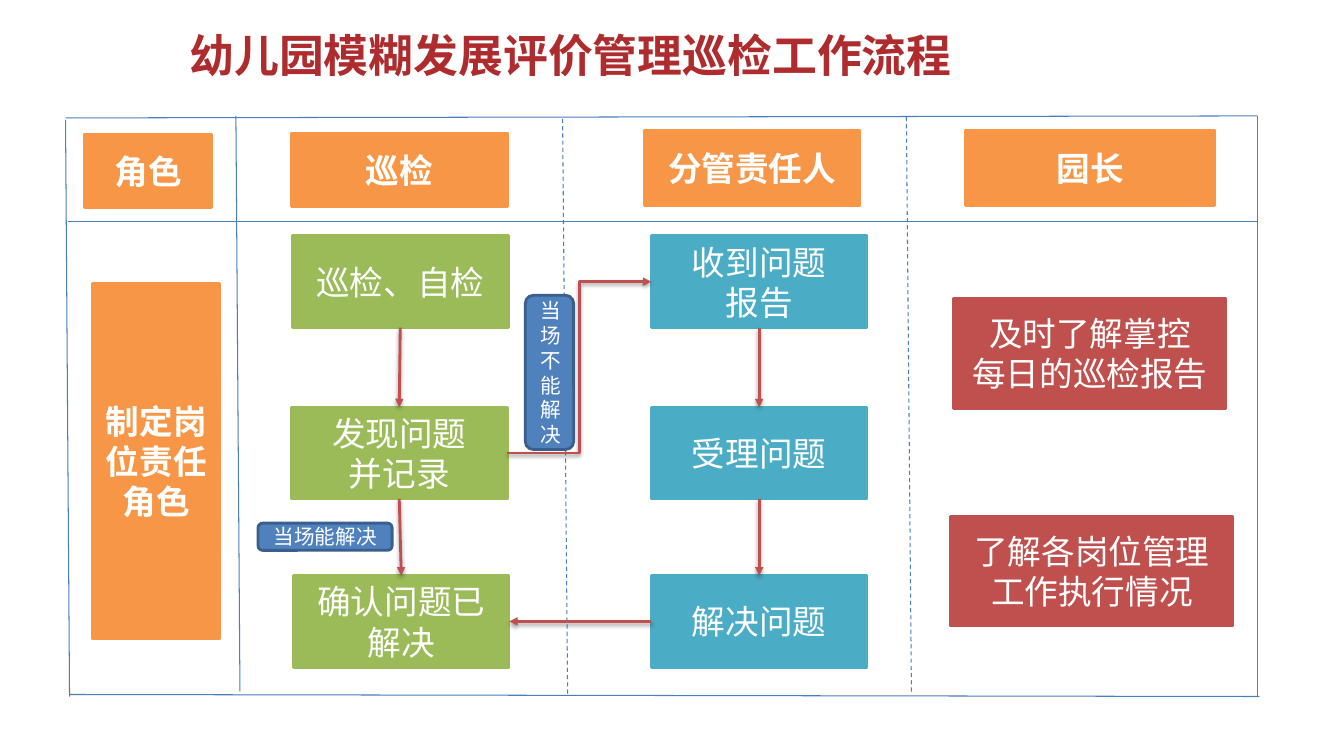
"""Build the kindergarten inspection workflow slide."""
import dataclasses
import typing

import lxml.etree
import pptx
import pptx.dml.color
import pptx.enum.dml
import pptx.enum.shapes
import pptx.enum.text
import pptx.oxml.ns
import pptx.shapes.autoshape
import pptx.shapes.connector
import pptx.slide
import pptx.util

Inches = pptx.util.Inches
Pt = pptx.util.Pt
RGB = pptx.dml.color.RGBColor.from_string
Kind = pptx.enum.shapes.MSO_SHAPE
Link = pptx.enum.shapes.MSO_CONNECTOR
Align = pptx.enum.text.PP_ALIGN
Anchor = pptx.enum.text.MSO_ANCHOR
TOP, LEFT, BOTTOM, RIGHT = range(4)


@dataclasses.dataclass(frozen=True)
class Theme:
    """Colours, fonts and sizes of the slide."""
    title: str = "AE2C2E"
    role: str = "F79646"
    inspect: str = "9BBB59"
    manage: str = "4BACC6"
    direct: str = "C0504D"
    label: str = "4F81BD"
    label_edge: str = "3A5F8C"
    grid: str = "4B7EBC"
    text: str = "FFFFFF"
    shadow: str = "000000"
    title_font: str = "Noto Sans CJK SC"
    body_font: str = "Calibri"
    title_size: float = 32
    body_size: float = 24
    label_size: float = 14.7
    edge: float = 2
    hairline: float = 0.75


THEME = Theme()


@dataclasses.dataclass(frozen=True)
class Box:
    """A filled box with centred text."""
    text: str
    left: float
    top: float
    width: float
    height: float
    fill: str
    bold: bool = False
    label: bool = False


@dataclasses.dataclass(frozen=True)
class Flow:
    """An arrow between two named steps."""
    source: str
    source_side: int
    target: str
    target_side: int
    link: typing.Any = Link.STRAIGHT


@dataclasses.dataclass(frozen=True)
class Rule:
    """A thin line of the swimlane frame."""
    x1: float
    y1: float
    x2: float
    y2: float
    dashed: bool = False


STEP = (2.14, 0.91)
ROW1, ROW2, ROW3 = 2.34, 4.04, 5.71
STEPS = {
    "self_check": Box("巡检、自检", 2.9, ROW1, *STEP, THEME.inspect),
    "record": Box("发现问题\n并记录", 2.89, ROW2, *STEP, THEME.inspect),
    "confirm": Box("确认问题已解决", 2.91, ROW3, *STEP, THEME.inspect),
    "report": Box("收到问题\n报告", 6.46, ROW1, *STEP, THEME.manage),
    "accept": Box("受理问题", 6.46, ROW2, *STEP, THEME.manage),
    "solve": Box("解决问题", 6.46, ROW3, *STEP, THEME.manage),
}
ROLES = [
    Box("角色", 0.84, 1.33, 1.26, 0.73, THEME.role, bold=True),
    Box("巡检", 2.89, 1.32, 2.14, 0.73, THEME.role, bold=True),
    Box("分管责任人", 6.39, 1.29, 2.14, 0.75, THEME.role, bold=True),
    Box("园长", 9.58, 1.29, 2.47, 0.75, THEME.role, bold=True),
    Box("制定岗位责任角色", 0.92, 2.81, 1.26, 3.53, THEME.role, bold=True),
]
DIRECTOR_TASKS = [
    Box("及时了解掌控\n每日的巡检报告", 9.46, 2.96, 2.7, 1.09, THEME.direct),
    Box("了解各岗位管理工作执行情况", 9.43, 5.12, 2.8, 1.09, THEME.direct),
]
LABELS = [
    Box("当场能解决", 2.56, 5.19, 1.33, 0.27, THEME.label, label=True),
    Box("当场不能解决", 5.21, 2.93, 0.48, 1.53, THEME.label, label=True),
]
FLOWS = [
    Flow("self_check", BOTTOM, "record", TOP),
    Flow("record", BOTTOM, "confirm", TOP),
    Flow("record", RIGHT, "report", LEFT, Link.ELBOW),
    Flow("report", BOTTOM, "accept", TOP),
    Flow("accept", BOTTOM, "solve", TOP),
    Flow("solve", LEFT, "confirm", RIGHT),
]
FRAME = [
    Rule(0.65, 1.17, 12.47, 1.15),
    Rule(0.67, 2.2, 12.47, 2.2),
    Rule(0.69, 6.89, 12.49, 6.91),
    Rule(0.65, 1.19, 0.69, 6.91),
    Rule(2.34, 1.15, 2.38, 6.86),
    Rule(5.58, 1.18, 5.63, 6.9, dashed=True),
    Rule(8.99, 1.16, 9.04, 6.87, dashed=True),
    Rule(12.47, 1.15, 12.47, 6.91),
]


def apply(target: typing.Any, values: dict[str, typing.Any]) -> None:
    """Set each named attribute on the target."""
    for name, value in values.items():
        setattr(target, name, value)


def write(frame: typing.Any, text: str, align: typing.Any, color: str,
          font: dict[str, typing.Any]) -> None:
    """Fill a text frame with evenly formatted paragraphs."""
    frame.text = text
    for paragraph in frame.paragraphs:
        paragraph.alignment = align
        for run in paragraph.runs:
            apply(run.font, font)
            run.font.color.rgb = RGB(color)


def draw_title(slide: pptx.slide.Slide, text: str) -> None:
    """Place and format the title."""
    title = slide.shapes.title
    apply(title, {"left": Inches(1.78), "top": Inches(0.22),
                  "width": Inches(8.17), "height": Inches(0.64)})
    apply(title.text_frame, {"word_wrap": True, "vertical_anchor": Anchor.TOP,
                             "auto_size": pptx.enum.text.MSO_AUTO_SIZE.NONE})
    write(title.text_frame, text, Align.LEFT, THEME.title,
          {"name": THEME.title_font, "size": Pt(THEME.title_size), "bold": True})


def draw_box(slide: pptx.slide.Slide, box: Box) -> pptx.shapes.autoshape.Shape:
    """Draw a box and return it."""
    kind = Kind.ROUNDED_RECTANGLE if box.label else Kind.RECTANGLE
    shape = slide.shapes.add_shape(
        kind, *map(Inches, (box.left, box.top, box.width, box.height)))
    shape.shadow.inherit = False
    shape.fill.solid()
    shape.fill.fore_color.rgb = RGB(box.fill)
    shape.line.color.rgb = RGB(THEME.label_edge if box.label else box.fill)
    shape.line.width = Pt(THEME.edge)
    side, end = (0.13, 0.07) if box.label else (0.1, 0.05)
    apply(shape.text_frame, {
        "word_wrap": True, "vertical_anchor": Anchor.MIDDLE,
        "margin_left": Inches(side), "margin_right": Inches(side),
        "margin_top": Inches(end), "margin_bottom": Inches(end)})
    size = THEME.label_size if box.label else THEME.body_size
    write(shape.text_frame, box.text, Align.CENTER, THEME.text,
          {"name": THEME.body_font, "size": Pt(size), "bold": box.bold})
    return shape


def add_effects(line: pptx.shapes.connector.Connector) -> typing.Any:
    """Add an empty effect list to a connector."""
    return lxml.etree.SubElement(line._element.spPr, pptx.oxml.ns.qn("a:effectLst"))


def draw_rule(slide: pptx.slide.Slide, rule: Rule) -> None:
    """Draw one line of the frame."""
    line = slide.shapes.add_connector(
        Link.STRAIGHT, *map(Inches, (rule.x1, rule.y1, rule.x2, rule.y2)))
    line.line.color.rgb = RGB(THEME.grid)
    line.line.width = Pt(THEME.hairline)
    if rule.dashed:
        line.line.dash_style = pptx.enum.dml.MSO_LINE.DASH
    add_effects(line)


def draw_flow(slide: pptx.slide.Slide, flow: Flow,
              steps: dict[str, pptx.shapes.autoshape.Shape]) -> None:
    """Draw a shadowed arrow glued to its two steps."""
    qn = pptx.oxml.ns.qn
    arrow = slide.shapes.add_connector(flow.link, 0, 0, 0, 0)
    arrow.begin_connect(steps[flow.source], flow.source_side)
    arrow.end_connect(steps[flow.target], flow.target_side)
    arrow.line.color.rgb = RGB(THEME.direct)
    arrow.line.width = Pt(THEME.edge)
    lxml.etree.SubElement(arrow.line._get_or_add_ln(), qn("a:tailEnd"), type="triangle")
    shadow = lxml.etree.SubElement(
        add_effects(arrow), qn("a:outerShdw"), blurRad=str(Pt(3.1)),
        dist=str(Pt(1.6)), dir="5400000", rotWithShape="0")
    color = lxml.etree.SubElement(shadow, qn("a:srgbClr"), val=THEME.shadow)
    lxml.etree.SubElement(color, qn("a:alpha"), val="38000")


def main() -> None:
    """Build and save the slide."""
    deck = pptx.Presentation()
    apply(deck, {"slide_width": Inches(13.33), "slide_height": Inches(7.5)})
    slide = deck.slides.add_slide(deck.slide_layouts.get_by_name("Title Only"))
    draw_title(slide, "幼儿园模糊发展评价管理巡检工作流程")
    for rule in FRAME:
        draw_rule(slide, rule)
    for box in ROLES + DIRECTOR_TASKS:
        draw_box(slide, box)
    steps = {name: draw_box(slide, box) for name, box in STEPS.items()}
    for flow in FLOWS:
        draw_flow(slide, flow, steps)
    for box in LABELS:
        draw_box(slide, box)
    deck.save("out.pptx")


if __name__ == "__main__":
    main()
